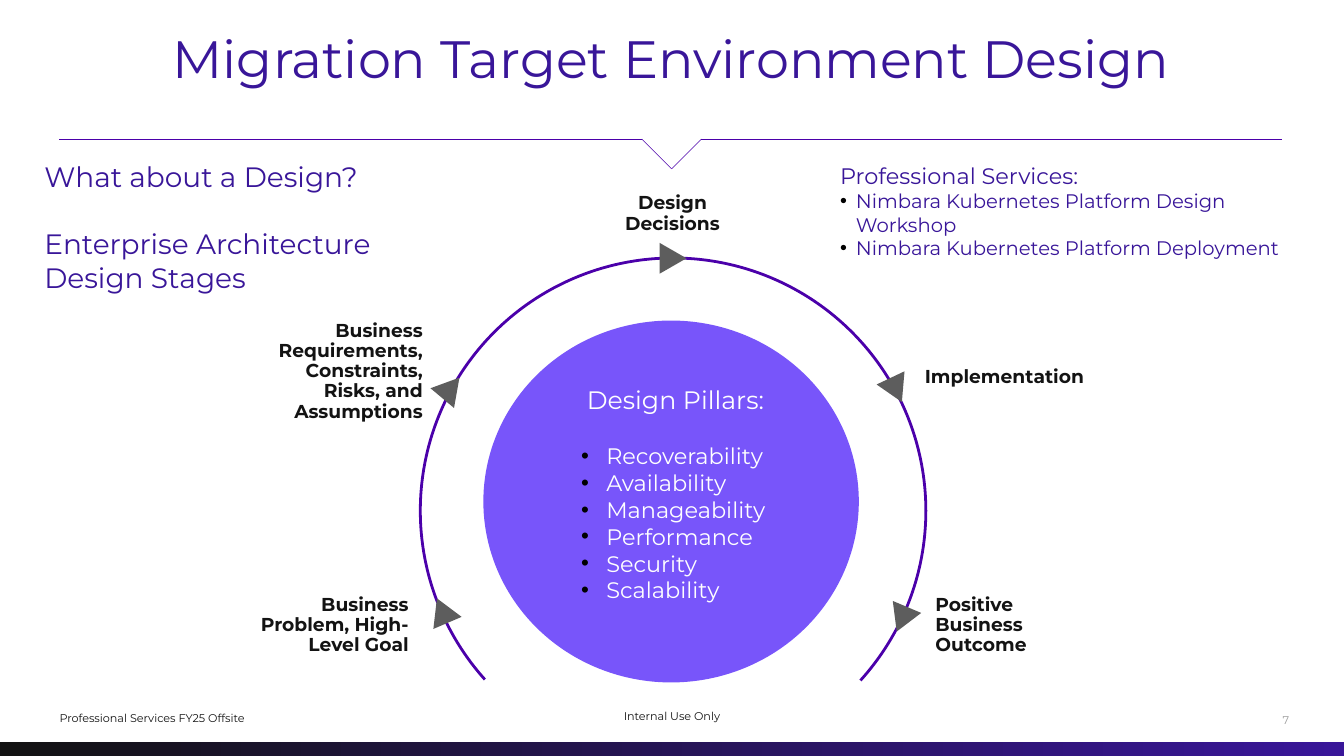
from lxml import etree
from pptx import Presentation
from pptx.dml import color
from pptx.enum import shapes, text
from pptx.oxml import ns
from pptx.util import Pt

FONT = "Montserrat"
INDIGO, VIOLET, LILAC = "391699", "4B00AA", "7855FA"
INK, GREY, PALE, WHITE, BLACK = "131313", "5D5D5D", "9C9C9C", "FFFFFF", "000000"
LEFT, CENTER, RIGHT = text.PP_ALIGN.LEFT, text.PP_ALIGN.CENTER, text.PP_ALIGN.RIGHT
TOP, MIDDLE = text.MSO_ANCHOR.TOP, text.MSO_ANCHOR.MIDDLE

STAGES = [  # label, left, top, width, alignment
    ("Business Problem, High-Level Goal", 371.5, 850.3, 212.4, RIGHT),
    ("Business Requirements, Constraints, Risks, and Assumptions",
     391.7, 488.2, 212.4, RIGHT),
    ("Design Decisions", 854.6, 262.8, 212.4, CENTER),
    ("Implementation", 1321.2, 496.8, 240, LEFT),
    ("Positive Business Outcome", 1336.3, 850.3, 212.4, LEFT),
]
ARROWS = [  # left, top, rotation
    (609.8, 853.2, 336.8), (622.1, 535, 40), (939.6, 349.9, 90),
    (1259.3, 527, 34.8), (1265, 854.6, 322.8),
]
PILLARS = ["Recoverability", "Availability", "Manageability",
           "Performance", "Security", "Scalability"]
SERVICES = ["Nimbara Kubernetes Platform Design Workshop",
            "Nimbara Kubernetes Platform Deployment"]


def rgb(value):
    return color.RGBColor.from_string(value)


def place(shape, left, top, width, height):
    shape.left, shape.top = Pt(left), Pt(top)
    shape.width, shape.height = Pt(width), Pt(height)


def set_frame(shape, anchor=TOP, inset=True):
    frame = shape.text_frame
    frame.word_wrap = True
    frame.auto_size = text.MSO_AUTO_SIZE.NONE
    frame.vertical_anchor = anchor
    sides = (7.2, 3.6) if inset else (0, 0)
    frame.margin_left = frame.margin_right = Pt(sides[0])
    frame.margin_top = frame.margin_bottom = Pt(sides[1])
    return frame


def style(paragraph, size, fill, align=LEFT, bold=False, before=0, spacing=None):
    paragraph.alignment = align
    paragraph.space_before = Pt(before)
    if spacing:
        paragraph.line_spacing = spacing
    for run in paragraph.runs:
        run.font.name, run.font.size, run.font.bold = FONT, Pt(size), bold
        run.font.color.rgb = rgb(fill)


def set_bullet(paragraph, indent=0):
    """Hang a black bullet by the indent, or clear the bullet at zero."""
    properties = paragraph._p.get_or_add_pPr()
    properties.set("marL", str(Pt(indent)))
    properties.set("indent", str(-Pt(indent)))
    if not indent:
        etree.SubElement(properties, ns.qn("a:buNone"))
        return
    bullet_color = etree.SubElement(properties, ns.qn("a:buClr"))
    etree.SubElement(bullet_color, ns.qn("a:srgbClr"), val=BLACK)
    etree.SubElement(properties, ns.qn("a:buFont"), typeface="Arial")
    etree.SubElement(properties, ns.qn("a:buChar"), char="•")


def add_label(slide, words, box, size, fill, anchor=MIDDLE, inset=False, **options):
    shape = slide.shapes.add_textbox(*map(Pt, box))
    frame = set_frame(shape, anchor, inset)
    frame.text = words
    style(frame.paragraphs[0], size, fill, **options)
    return frame


def add_list(frame, items, size, fill, indent, align=LEFT, gap=0):
    for number, item in enumerate(items):
        paragraph = frame.add_paragraph()
        paragraph.text = item
        style(paragraph, size, fill, align, before=0 if number else gap)
        set_bullet(paragraph, indent)


def add_shape(slide, kind, box, fill=None, rotation=0):
    shape = slide.shapes.add_shape(kind, *map(Pt, box))
    shape.shadow.inherit = False
    shape.rotation = rotation
    shape.line.fill.background()
    if fill:
        shape.fill.solid()
        shape.fill.fore_color.rgb = rgb(fill)
    else:
        shape.fill.background()
    return shape


def add_line(slide, start, end):
    line = slide.shapes.add_connector(
        shapes.MSO_CONNECTOR.STRAIGHT, *map(Pt, start + end))
    line.line.color.rgb = rgb(VIOLET)
    line.line.width = Pt(0.75)
    etree.SubElement(line._element.spPr, ns.qn("a:effectLst"))


def add_footer(slide):
    add_label(slide, "Internal Use Only", (694, 992.2, 532, 60.5), 16, INK, align=CENTER)
    add_label(slide, "Professional Services FY25 Offsite",
              (85, 992.2, 588, 67.7), 16, INK)
    add_label(slide, "7", (1832.4, 997.2, 87.6, 62.6), 16, PALE)
    bar = add_shape(slide, shapes.MSO_SHAPE.RECTANGLE, (0, 1060, 1920, 20))
    bar.fill.gradient()
    bar.fill.gradient_angle = 0
    for stop, fill in zip(bar.fill.gradient_stops, (INK, INDIGO)):
        stop.color.rgb = rgb(fill)


def add_divider(slide):
    points = [(85, 198.7), (917, 198.7), (959.5, 241.2), (1002, 198.7), (1832, 198.7)]
    for start, end in zip(points, points[1:]):
        add_line(slide, start, end)


def add_cycle(slide):
    arc = add_shape(slide, shapes.MSO_SHAPE.ARC, (600.5, 368.6, 722.2, 722.2))
    arc.adjustments[0], arc.adjustments[1] = 82.699, 25.128
    arc._element.spPr.xfrm.set("flipH", "1")
    arc.line.color.rgb = rgb(VIOLET)
    arc.line.width = Pt(4)
    for words, left, top, width, align in STAGES:
        add_label(slide, words, (left, top, width, 85.7), 26.7, INK,
                  align=align, bold=True, spacing=0.9)
    for left, top, rotation in ARROWS:
        add_shape(slide, shapes.MSO_SHAPE.ISOSCELES_TRIANGLE,
                  (left, top, 43.9, 38.2), GREY, rotation)


def add_pillars(slide):
    add_shape(slide, shapes.MSO_SHAPE.OVAL, (690.5, 457.9, 536.4, 517), LILAC)
    frame = add_label(slide, "Design Pillars:", (823, 545.8, 283.7, 339.1), 36, WHITE,
                      TOP, True, align=CENTER)
    add_list(frame, PILLARS, 32, WHITE, 36, text.PP_ALIGN.JUSTIFY, gap=39)


def main():
    presentation = Presentation()
    presentation.slide_width, presentation.slide_height = Pt(1920), Pt(1080)
    slide = presentation.slides.add_slide(presentation.slide_layouts[1])

    # Title
    title = slide.shapes.title
    place(title, 85, 36.7, 1746.7, 113.8)
    frame = set_frame(title, inset=False)
    frame.text = "Migration Target Environment Design"
    style(frame.paragraphs[0], 75, INDIGO, CENTER)

    # Services list
    body = slide.placeholders[1]
    place(body, 1193, 228.2, 677.5, 225.4)
    frame = set_frame(body)
    frame.text = "Professional Services:"
    style(frame.paragraphs[0], 32, INDIGO)
    set_bullet(frame.paragraphs[0])
    add_list(frame, SERVICES, 28, INDIGO, 22.5)

    # Left headings, one blank line's height apart
    frame = add_label(slide, "What about a Design?", (56.2, 224.6, 495.4, 200.9),
                      40, INDIGO, TOP, True)
    heading = frame.add_paragraph()
    heading.text = "Enterprise Architecture Design Stages"
    style(heading, 40, INDIGO, before=48)

    # Furniture and diagram
    add_footer(slide)
    add_divider(slide)
    add_cycle(slide)
    add_pillars(slide)
    presentation.save("out.pptx")


if __name__ == "__main__":
    main()
